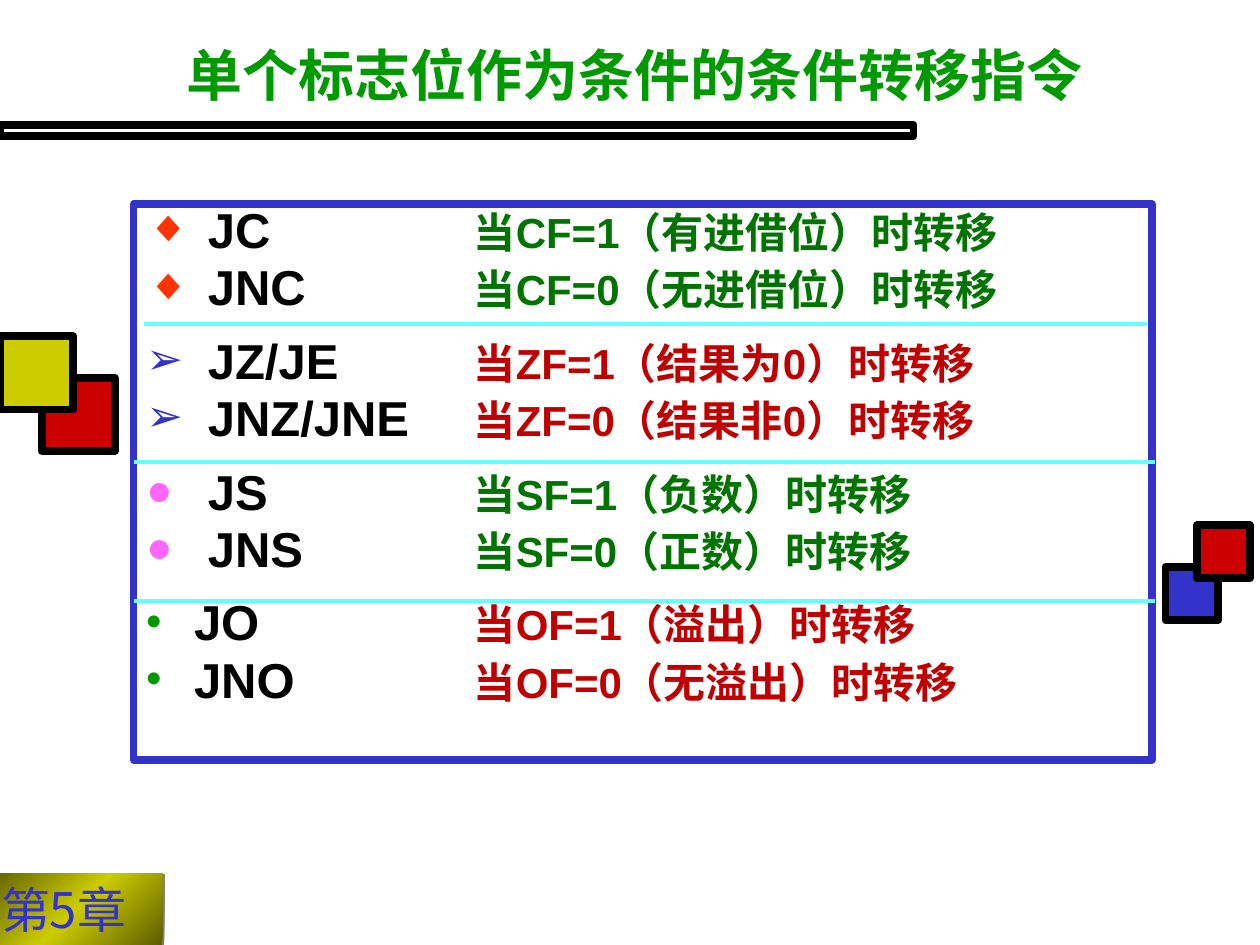
from copy import deepcopy

from lxml import etree
from pptx import Presentation
from pptx import util as u
from pptx.dml.color import RGBColor
from pptx.enum import shapes, text
from pptx.oxml.ns import qn

In, Pt = u.Inches, u.Pt
CJK = "Noto Sans CJK JP"
GREEN, RED = "007300", "C00000"
BLUE, CRIMSON, OLIVE = "3333CC", "CC0000", "CCCC00"

# Mnemonics, conditions, text colour, bullet, bullet colour, text indent
GROUPS = [
    ([("JC", "当CF=1（有进借位）时转移"), ("JNC", "当CF=0（无进借位）时转移")],
     GREEN, "◆", "FF3300", 0.49),
    ([("JZ/JE", "当ZF=1（结果为0）时转移"), ("JNZ/JNE", "当ZF=0（结果非0）时转移")],
     RED, "➢", BLUE, 0.49),
    ([("JS", "当SF=1（负数）时转移"), ("JNS", "当SF=0（正数）时转移")],
     GREEN, "●", "FF66FF", 0.49),
    ([("JO", "当OF=1（溢出）时转移"), ("JNO", "当OF=0（无溢出）时转移")],
     RED, "•", "009900", 0.38),
]


def rgb(value):
    return RGBColor.from_string(value)


def sub(parent, tag, **attrs):
    return etree.SubElement(parent, qn(tag), attrs)


def style(r, size, color, font, bold=False):
    r.font.size, r.font.bold, r.font.name = Pt(size), bold, font
    r.font.color.rgb = rgb(color)
    sub(r.font._element, "a:ea", typeface=CJK)


def place(sp, box):
    sp.left, sp.top, sp.width, sp.height = (In(v) for v in box)


def add_rect(s, box, fill=None, line="000000"):
    sp = s.shapes.add_shape(shapes.MSO_SHAPE.RECTANGLE, *(In(v) for v in box))
    sp.shadow.inherit = False
    if fill:
        sp.fill.solid()
        sp.fill.fore_color.rgb = rgb(fill)
    else:
        sp.fill.background()
    sp.line.color.rgb = rgb(line)
    sp.line.width = Pt(4.5)
    return sp


def add_squares(s, squares, size):
    for left, top, fill in squares:
        add_rect(s, (left, top, size, size), fill)


def add_chapter_tag(s, box):
    sp = add_rect(s, box)
    sp.line.fill.background()
    # Diagonal gradient, dark at both ends
    sp.fill.gradient()
    sp.fill.gradient_angle = 315
    stops = sp._element.spPr.find(qn("a:gradFill")).find(qn("a:gsLst"))
    stops.append(deepcopy(stops[-1]))
    for stop, pos, color in zip(sp.fill.gradient_stops, (0, 0.5, 1),
                                ("5E5E00", OLIVE, "5E5E00")):
        stop.position = pos
        stop.color.rgb = rgb(color)
    # Thin grey shadow
    effects = sp._element.spPr.find(qn("a:effectLst"))
    shadow = sub(effects, "a:outerShdw", dist=str(Pt(1.4)), dir="2700000")
    sub(shadow, "a:srgbClr", val="808080")
    tf = sp.text_frame
    tf.word_wrap = False
    tf.text = "第5章"
    p = tf.paragraphs[0]
    p.alignment = text.PP_ALIGN.LEFT
    style(p.runs[0], 28, BLUE, CJK)


def set_title(s, box):
    sp = s.shapes.title
    place(sp, box)
    tf = sp.text_frame
    tf.text = "单个标志位作为条件的条件转移指令"
    tf.auto_size = text.MSO_AUTO_SIZE.NONE
    tf.vertical_anchor = text.MSO_ANCHOR.MIDDLE
    p = tf.paragraphs[0]
    p.alignment = text.PP_ALIGN.JUSTIFY
    style(p.runs[0], 32, "009900", "Cabin", True)


def set_bullet(p, char, color, indent):
    pPr = p._p.get_or_add_pPr()
    pPr.set("marL", str(In(indent)))
    pPr.set("indent", str(-In(indent)))
    sub(sub(pPr, "a:buClr"), "a:srgbClr", val=color)
    sub(pPr, "a:buSzPct", val="90000")
    sub(pPr, "a:buFont", typeface="Arial")
    sub(pPr, "a:buChar", char=char)
    sub(sub(pPr, "a:tabLst"), "a:tab", pos=str(In(2.6)), algn="l")


def set_body(s, box):
    sp = s.placeholders[1]
    place(sp, box)
    sp.line.color.rgb = rgb(BLUE)
    sp.line.width = Pt(4.5)
    tf = sp.text_frame
    tf.auto_size = text.MSO_AUTO_SIZE.NONE
    rows = [(i, row, g) for g in GROUPS for i, row in enumerate(g[0])]
    tf.text = "\n".join("" for _ in rows)
    for p, (i, (name, condition), group) in zip(tf.paragraphs, rows):
        _, color, char, bullet_color, indent = group
        p.alignment = text.PP_ALIGN.JUSTIFY
        p.line_spacing = 0.8
        p.space_before = Pt(6)
        p.space_after = Pt(9 if i == 1 and group is not GROUPS[-1] else 0)
        set_bullet(p, char, bullet_color, indent)
        for words, size, c in ((name + "\t", 28, "000000"), (condition, 24, color)):
            r = p.add_run()
            r.text = words
            style(r, size, c, "Arial", True)
    tf.paragraphs[0].space_before = Pt(0)


def add_divider(s, left, right, y):
    line = s.shapes.add_connector(shapes.MSO_CONNECTOR.STRAIGHT,
                                  In(left), In(y), In(right), In(y))
    line.line.color.rgb = rgb("66FFFF")
    line.line.width = Pt(2.25)
    sub(line._element.spPr, "a:effectLst")


def main():
    prs = Presentation()
    prs.slide_width, prs.slide_height = In(10), In(7.5)
    s = prs.slides.add_slide(prs.slide_layouts[1])

    # Template decoration
    add_rect(s, (0, 0.99, 7.25, 0.09))
    add_squares(s, [(9.25, 4.5, BLUE), (9.5, 4.17, CRIMSON)], 0.42)
    add_squares(s, [(0.33, 3, CRIMSON), (0, 2.67, OLIVE)], 0.58)
    add_chapter_tag(s, (-0.09, 6.93, 1.38, 0.57))

    # Title and instruction list
    set_title(s, (1.38, 0.13, 7.4, 0.92))
    set_body(s, (1.06, 1.62, 8.08, 4.41))

    # Lines between the flag groups
    for i, (left, right) in enumerate([(1.14, 9.1), (1.06, 9.17), (1.06, 9.17)]):
        add_divider(s, left, right, 2.57 + 1.1 * i)

    prs.save("out.pptx")


if __name__ == "__main__":
    main()
